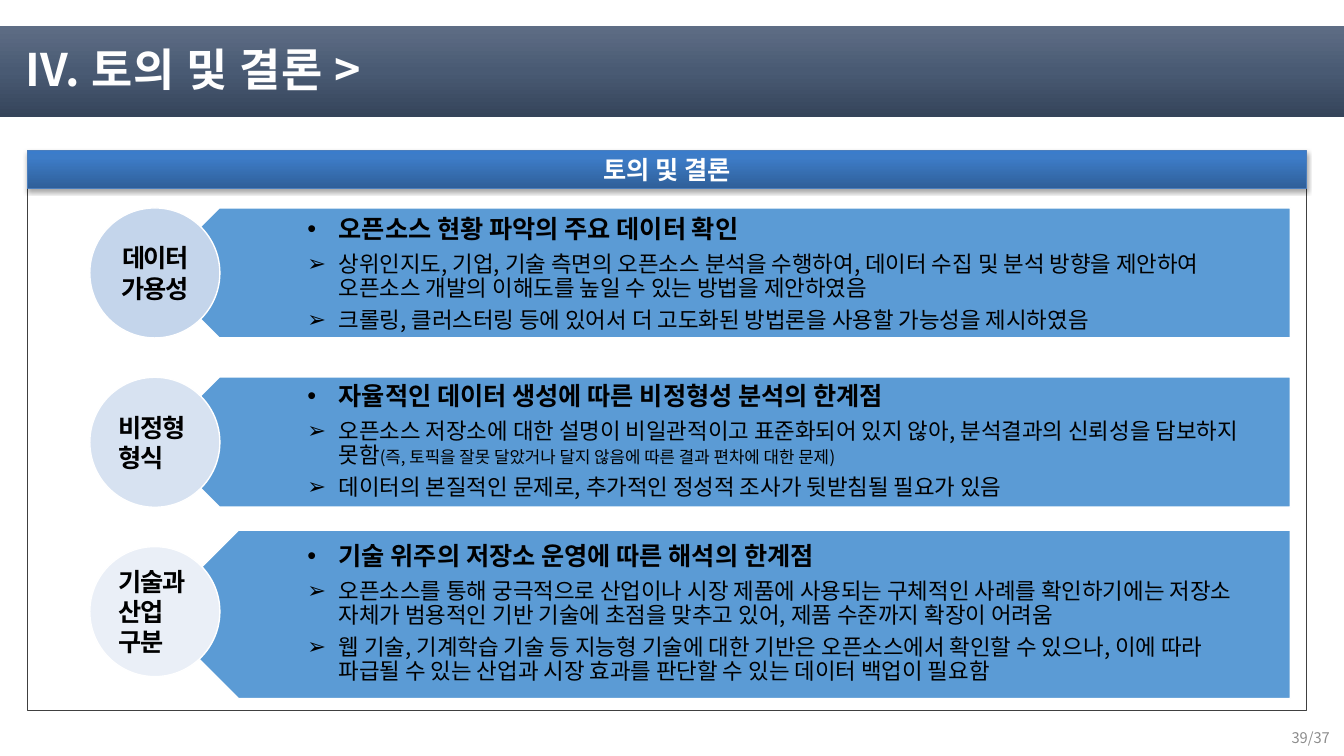
from dataclasses import dataclass

from lxml import etree
from pptx import Presentation
from pptx.dml.color import RGBColor
from pptx.enum.shapes import MSO_SHAPE
from pptx.enum.text import MSO_ANCHOR, MSO_AUTO_SIZE, PP_ALIGN
from pptx.oxml.ns import qn
from pptx.util import Inches, Pt

RECTANGLE, PENTAGON, OVAL = MSO_SHAPE.RECTANGLE, MSO_SHAPE.PENTAGON, MSO_SHAPE.OVAL
TOP, MIDDLE, BOTTOM = MSO_ANCHOR.TOP, MSO_ANCHOR.MIDDLE, MSO_ANCHOR.BOTTOM
LEFT, CENTER, RIGHT = PP_ALIGN.LEFT, PP_ALIGN.CENTER, PP_ALIGN.RIGHT
NO_AUTOFIT = MSO_AUTO_SIZE.NONE
COMPARISON_LAYOUT = 4
SLIDE_WIDTH, SLIDE_HEIGHT = Inches(13.33), Inches(7.5)
INDENT = Inches(0.31)


@dataclass(frozen=True)
class Theme:
    font: str = "Noto Sans CJK KR"
    title: str = "FEFEFE"
    white: str = "FFFFFF"
    text: str = "000000"
    muted: str = "8C8C8C"
    accent: str = "5B9BD5"
    frame: str = "404040"
    header_line: str = "4B7EBC"
    bar: tuple = ((0, "5E6D85"), (50, "495A73"), (100, "35445A"))
    header: tuple = ((0, "2F5F99"), (80, "3D7CC7"), (100, "3A7CCB"))
    title_size: float = 32
    heading_size: float = 18
    body_size: float = 16
    note_size: float = 12
    page_size: float = 10.5


@dataclass(frozen=True)
class Box:
    """Percent shares of the slide's width and height."""
    left: float
    top: float
    width: float
    height: float

    def lengths(self) -> tuple:
        return (int(SLIDE_WIDTH * self.left / 100), int(SLIDE_HEIGHT * self.top / 100),
                int(SLIDE_WIDTH * self.width / 100), int(SLIDE_HEIGHT * self.height / 100))


@dataclass(frozen=True)
class Topic:
    label: str
    label_color: str
    label_align: object
    top: float
    height: float
    text_top: float
    anchor: object
    heading: str
    points: tuple


THEME = Theme()
CIRCLE_TOP, CIRCLE_STEP, ROW_HEIGHT = 27.5, 22.4, 17.2
TOPICS = (
    Topic("데이터 가용성", "C4D5EB", CENTER, 27.5, ROW_HEIGHT, 25.73, TOP,
          "오픈소스 현황 파악의 주요 데이터 확인",
          (("상위인지도, 기업, 기술 측면의 오픈소스 분석을 수행하여, 데이터 수집 및 분석 방향을 제안하여 "
            "오픈소스 개발의 이해도를 높일 수 있는 방법을 제안하였음",),
           ("크롤링, 클러스터링 등에 있어서 더 고도화된 방법론을 사용할 가능성을 제시하였음",))),
    Topic("비정형 형식", "D7E2F1", LEFT, 49.87, ROW_HEIGHT, 49.87, MIDDLE,
          "자율적인 데이터 생성에 따른 비정형성 분석의 한계점",
          (("오픈소스 저장소에 대한 설명이 비일관적이고 표준화되어 있지 않아, 분석결과의 신뢰성을 담보하지 못함",
            "(즉, 토픽을 잘못 달았거나 달지 않음에 따른 결과 편차에 대한 문제)"),
           ("데이터의 본질적인 문제로, 추가적인 정성적 조사가 뒷받침될 필요가 있음",))),
    Topic("기술과 산업 구분", "EAEFF7", LEFT, 70.13, 22.27, 70.13, MIDDLE,
          "기술 위주의 저장소 운영에 따른 해석의 한계점",
          (("오픈소스를 통해 궁극적으로 산업이나 시장 제품에 사용되는 구체적인 사례를 확인하기에는 저장소 "
            "자체가 범용적인 기반 기술에 초점을 맞추고 있어, 제품 수준까지 확장이 어려움",),
           ("웹 기술, 기계학습 기술 등 지능형 기술에 대한 기반은 오픈소스에서 확인할 수 있으나, 이에 따라 "
            "파급될 수 있는 산업과 시장 효과를 판단할 수 있는 데이터 백업이 필요함",))),
)


def add_element(parent, tag: str, **attributes):
    return etree.SubElement(parent, qn(tag), attributes)


def place(shape, box: Box) -> None:
    shape.left, shape.top, shape.width, shape.height = box.lengths()


def style_paragraph(paragraph, size: float, color: str, bold: bool = False,
                    align=LEFT, spacing: int = 0):
    paragraph.alignment = align
    font = paragraph.font
    font.size, font.bold, font.name = Pt(size), bold, THEME.font
    font.color.rgb = RGBColor.from_string(color)
    properties = paragraph._p.pPr.find(qn("a:defRPr"))
    add_element(properties, "a:ea", typeface=THEME.font)
    if spacing:
        properties.set("spc", str(spacing))
    return properties


def add_block(slide, kind, box: Box, fill: str = "", line: str = "", line_width: float = 1):
    shape = slide.shapes.add_shape(kind, *box.lengths())
    shape.shadow.inherit = False
    if fill:
        shape.fill.solid()
        shape.fill.fore_color.rgb = RGBColor.from_string(fill)
    else:
        shape.fill.background()
    if line:
        shape.line.color.rgb = RGBColor.from_string(line)
        shape.line.width = Pt(line_width)
    else:
        shape.line.fill.background()
    return shape


def set_gradient(shape, stops: tuple, angle: int) -> None:
    properties = shape._element.spPr
    gradient = etree.Element(qn("a:gradFill"), rotWithShape="1")
    stop_list = add_element(gradient, "a:gsLst")
    for position, color in stops:
        stop = add_element(stop_list, "a:gs", pos=str(position * 1000))
        add_element(stop, "a:srgbClr", val=color)
    add_element(gradient, "a:lin", ang=str(angle * 60000), scaled="0")
    properties.replace(properties.find(qn("a:noFill")), gradient)


def add_title(slide, text: str, box: Box) -> None:
    bar = add_block(slide, RECTANGLE, Box(0, box.top, 100, box.height))
    set_gradient(bar, THEME.bar, 90)
    title = slide.shapes.title
    title._element.getparent().append(title._element)
    place(title, box)
    frame = title.text_frame
    frame.text, frame.vertical_anchor, frame.auto_size = text, MIDDLE, NO_AUTOFIT
    paragraph = frame.paragraphs[0]
    paragraph.line_spacing = 0.9
    properties = style_paragraph(paragraph, THEME.title_size, THEME.title, True, spacing=50)
    outline = etree.Element(qn("a:ln"), w=str(Pt(0.75)))
    add_element(add_element(outline, "a:solidFill"), "a:srgbClr", val=THEME.accent)
    properties.insert(0, outline)


def add_header(slide, text: str, box: Box) -> None:
    header = add_block(slide, RECTANGLE, box, line=THEME.header_line, line_width=0.75)
    set_gradient(header, THEME.header, 270)
    shadow = add_element(header._element.spPr.find(qn("a:effectLst")), "a:outerShdw",
                         blurRad=str(Pt(3.1)), dist=str(Pt(1.8)), dir="5400000", rotWithShape="0")
    add_element(add_element(shadow, "a:srgbClr", val=THEME.text), "a:alpha", val="35000")
    frame = header.text_frame
    frame.text, frame.word_wrap, frame.vertical_anchor = text, False, MIDDLE
    style_paragraph(frame.paragraphs[0], THEME.heading_size, THEME.white, True, CENTER)


def add_bullet(paragraph, runs: tuple, symbol: str, size: float, bold: bool) -> None:
    paragraph.line_spacing, paragraph.space_before = 0.9, Pt(0)
    properties = paragraph._p.get_or_add_pPr()
    properties.set("marL", str(INDENT))
    properties.set("indent", str(-INDENT))
    add_element(add_element(properties, "a:spcAft"), "a:spcPct", val="35000")
    add_element(properties, "a:buChar", char=symbol)
    for text in runs:
        paragraph.add_run().text = text
    for note in paragraph.runs[1:]:
        note.font.size = Pt(THEME.note_size)
    style_paragraph(paragraph, size, THEME.text, bold)


def add_topic(slide, topic: Topic, body, circle_top: float) -> None:
    arrow = add_block(slide, PENTAGON, Box(11.48, topic.top, 84.52, topic.height),
                      THEME.accent, THEME.white)
    arrow.rotation = 180
    body._element.getparent().append(body._element)
    place(body, Box(17.4, topic.text_top, 78.6, topic.height))
    frame = body.text_frame
    frame.word_wrap, frame.auto_size, frame.vertical_anchor = True, NO_AUTOFIT, topic.anchor
    frame.margin_left, frame.margin_right = Inches(0.73), Inches(0.41)
    frame.margin_top = frame.margin_bottom = Inches(0.22)
    add_bullet(frame.paragraphs[0], (topic.heading,), "•", THEME.heading_size, True)
    for runs in topic.points:
        add_bullet(frame.add_paragraph(), runs, "➢", THEME.body_size, False)
    circle = add_block(slide, OVAL, Box(6.68, circle_top, 9.68, ROW_HEIGHT),
                       topic.label_color, THEME.white)
    circle.text_frame.text = topic.label
    circle.text_frame.word_wrap, circle.text_frame.vertical_anchor = True, MIDDLE
    style_paragraph(circle.text_frame.paragraphs[0], THEME.heading_size, THEME.text, True,
                    topic.label_align, -100)


def add_page_number(slide, text: str, box: Box) -> None:
    frame = slide.shapes.add_textbox(*box.lengths()).text_frame
    frame.text, frame.word_wrap, frame.vertical_anchor = text, True, BOTTOM
    style_paragraph(frame.paragraphs[0], THEME.page_size, THEME.muted, align=RIGHT)


def main() -> None:
    presentation = Presentation()
    presentation.slide_width, presentation.slide_height = SLIDE_WIDTH, SLIDE_HEIGHT
    slide = presentation.slides.add_slide(presentation.slide_layouts[COMPARISON_LAYOUT])
    bodies = list(slide.placeholders)[1:]
    spare = bodies.pop()._element
    spare.getparent().remove(spare)
    add_title(slide, "IV. 토의 및 결론 >", Box(1.13, 3.47, 92, 12))
    add_block(slide, RECTANGLE, Box(2.02, 22.93, 95.18, 71.07), line=THEME.frame, line_width=0.5)
    add_header(slide, "토의 및 결론", Box(2.02, 19.87, 95.18, 5.07))
    for index, (topic, body) in enumerate(zip(TOPICS, bodies)):
        add_topic(slide, topic, body, CIRCLE_TOP + index * CIRCLE_STEP)
    add_page_number(slide, "39/37", Box(77.18, 94, 22.5, 5.33))
    presentation.save("out.pptx")


if __name__ == "__main__":
    main()
